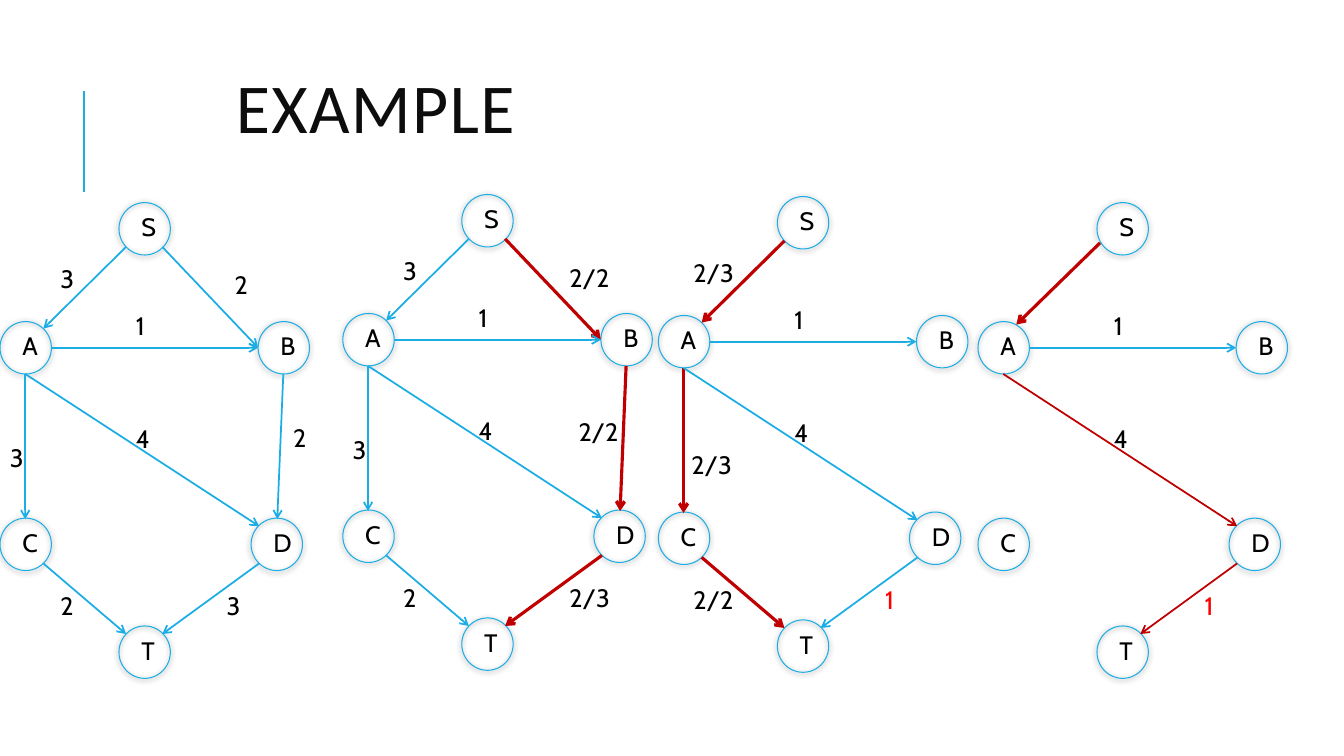
"""Build a slide that traces the flow through a small network in four steps."""
from dataclasses import dataclass

from lxml.etree import SubElement as Sub
from pptx import Presentation
from pptx.dml.color import RGBColor as Rgb
from pptx.enum.shapes import MSO_CONNECTOR as Link, MSO_SHAPE as Form
from pptx.enum.text import MSO_ANCHOR as Anchor, MSO_AUTO_SIZE as Fit
from pptx.oxml.ns import qn
from pptx.util import Inches, Pt


@dataclass(frozen=True)
class Theme:
    """Colours, fonts and type sizes."""
    blue: str = "1CADE4"
    deep: str = "C00000"
    red: str = "FF0000"
    black: str = "000000"
    ink: str = "0D0D0D"
    head: str = "Calibri"
    body: str = "Cabin"
    big: float = 50
    small: float = 18


NODES = {"S": (1.18, 0), "B": (2.56, 1.18), "D": (2.49, 3.13),
         "C": (0, 3.13), "A": (0, 1.18), "T": (1.18, 4.2)}

EDGES = {"SA": (1.25, 0.44, 0.43, 1.25), "SB": (1.61, 0.44, 2.56, 1.44),
         "AB": (0.51, 1.44, 2.56, 1.44), "AC": (0.25, 1.7, 0.25, 3.14),
         "AD": (0.25, 1.7, 2.57, 3.21), "BD": (2.81, 1.7, 2.75, 3.14),
         "CT": (0.43, 3.58, 1.25, 4.28), "DT": (2.57, 3.58, 1.61, 4.28),
         "SA low": (1.21, 0.4, 0.38, 1.21)}

SPOTS = {"SA": (0.5, 0.55), "SB": (2.23, 0.61), "AB": (1.25, 1.02),
         "AC": (0, 2.33), "AD": (1.25, 2.14), "BD": (2.81, 2.13),
         "CT": (0.5, 3.8), "DT": (2.15, 3.8)}

WIDE = {"SA": (0.25, 0.55), "SB": (2.15, 0.62), "AC": (0.23, 2.46),
        "BD": (2.24, 2.15), "CT": (0.25, 3.8), "DT": (2.15, 3.8)}

THIN, BOLD = 1.25, 2.25

GRAPHS = [
    ((0, 2.01), {"SA": "3", "SB": "2", "AB": "1", "AC": "3",
                 "AD": "4", "BD": "2", "CT": "2", "DT": "3"}, {}),
    ((3.4, 1.93), {"SA": "3", "SB": "2/2", "AB": "1", "AC": "3",
                   "AD": "4", "BD": "2/2", "CT": "2", "DT": "2/3"},
     {"SB": BOLD, "BD": BOLD, "DT": BOLD}),
    ((6.53, 1.95), {"SA": "2/3", "AB": "1", "AC": "2/3",
                    "AD": "4", "CT": "2/2", "DT": "1"},
     {"SA": BOLD, "AC": BOLD, "CT": BOLD}),
    ((9.7, 2.01), {"AB": "1", "AD": "4", "DT": "1", "SA low": ""},
     {"AD": THIN, "DT": THIN, "SA low": BOLD}),
]


class Board:
    """Hold the theme and the current slide, and draw on it."""

    def __init__(self, slide, theme):
        """Keep the slide and its theme."""
        self.theme = theme
        self.top = self.shapes = slide.shapes

    def text(self, words, left, top, wide, high, tint):
        """Add a text box and return its frame."""
        box = self.shapes.add_textbox(*map(Inches, (left, top, wide, high)))
        frame = box.text_frame
        frame.word_wrap = True
        frame.auto_size = Fit.SHAPE_TO_FIT_TEXT
        frame.text = words
        font = frame.paragraphs[0].font
        font.name, font.size = self.theme.body, Pt(self.theme.small)
        font.color.rgb = Rgb.from_string(tint)
        return frame

    def title(self, words):
        """Add the heading."""
        frame = self.text(words, 2.24, 0.5, 7.68, 1.25, self.theme.ink)
        frame.auto_size = Fit.NONE
        frame.vertical_anchor = Anchor.MIDDLE
        para = frame.paragraphs[0]
        para.line_spacing = 0.8
        para.font.name, para.font.size = self.theme.head, Pt(self.theme.big)
        para.runs[0]._r.get_or_add_rPr().set("spc", "100")

    def line(self, ends, tint, width, arrow=True):
        """Add a straight line, with an arrowhead if asked."""
        link = self.shapes.add_connector(Link.STRAIGHT, *map(Inches, ends))
        link.line.color.rgb = Rgb.from_string(tint)
        link.line.width = Pt(width)
        if arrow:
            Sub(link.line._get_or_add_ln(), qn("a:tailEnd"), type="arrow")
        Sub(link._element.spPr, qn("a:effectLst"))

    def node(self, name, left, top):
        """Add a ring with a soft shadow and its letter."""
        ring = self.shapes.add_shape(
            Form.OVAL, *map(Inches, (left, top, 0.51, 0.52)))
        ring.fill.background()
        ring.line.color.rgb = Rgb.from_string(self.theme.blue)
        ring.line.width = Pt(0.75)
        ring.shadow.inherit = False
        glow = Sub(ring._element.spPr.find(qn("a:effectLst")),
                   qn("a:outerShdw"), blurRad=str(Pt(4)), dist=str(Pt(1)),
                   dir="5400000", rotWithShape="0")
        shade = Sub(glow, qn("a:srgbClr"), val=self.theme.black)
        Sub(shade, qn("a:alpha"), val="50000")
        self.text(name, left + 0.17, top + 0.04, 0.15, 0.4, self.theme.black)

    def graph(self, start, flows, path):
        """Add one network as a group, with its path in deep red."""
        left, top = start
        look = self.theme
        self.shapes = self.top.add_group_shape().shapes
        for name, (x, y) in NODES.items():
            self.node(name, left + x, top + y)
        for edge in flows:
            x1, y1, x2, y2 = EDGES[edge]
            self.line((left + x1, top + y1, left + x2, top + y2),
                      look.deep if edge in path else look.blue,
                      path.get(edge, THIN))
        for edge, words in flows.items():
            if words:
                long = "/" in words
                x, y = (WIDE if long else SPOTS)[edge]
                last = edge == "DT" and words == "1"
                self.text(words, left + x, top + y, 0.77 if long else 0.34,
                          0.4, look.red if last else look.black)
        self.shapes = self.top


def main():
    """Draw the slide and save it."""
    deck = Presentation()
    deck.slide_width, deck.slide_height = Inches(13.33), Inches(7.5)
    board = Board(deck.slides.add_slide(deck.slide_layouts[6]), Theme())
    board.line((0.83, 1.9, 0.83, 0.9), board.theme.blue, 1.5, arrow=False)
    board.title("EXAMPLE")
    for start, flows, path in GRAPHS:
        board.graph(start, flows, path)
    deck.save("out.pptx")


if __name__ == "__main__":
    main()
